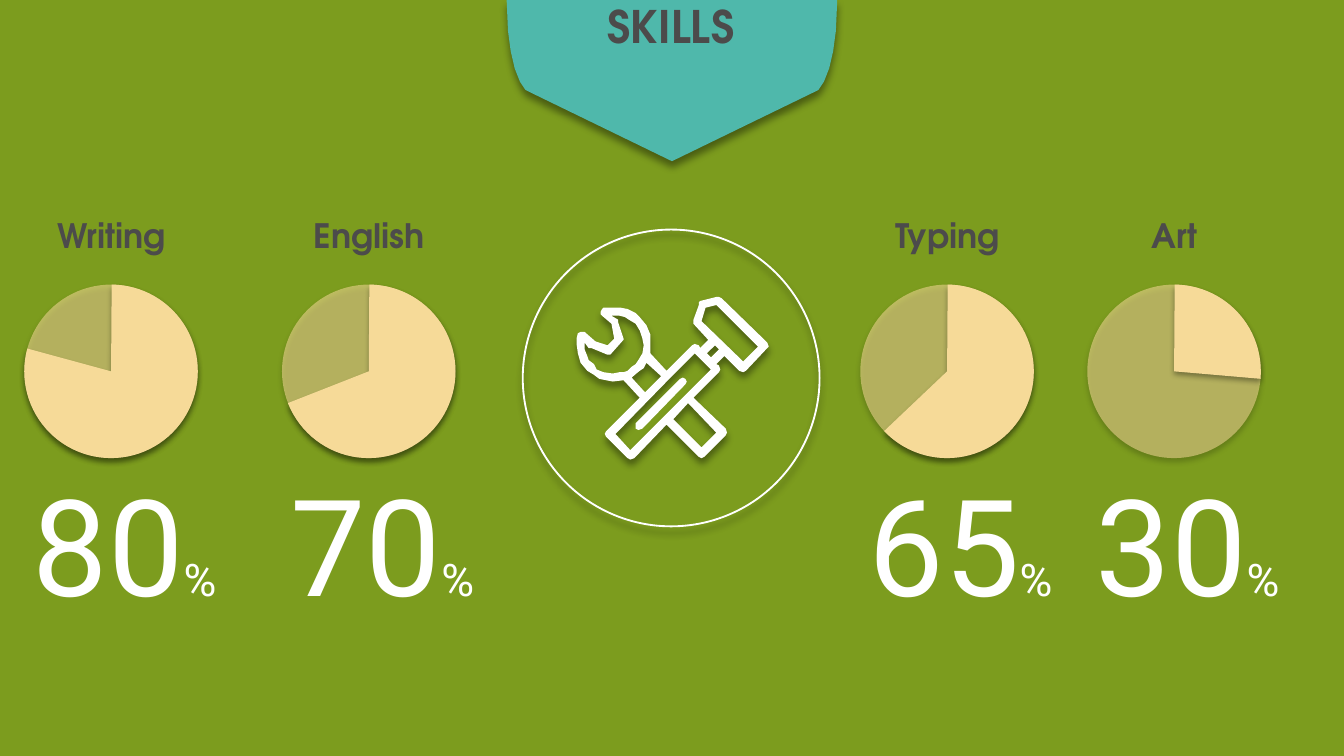
from lxml import etree
from pptx import Presentation
from pptx.dml.color import RGBColor
from pptx.enum.shapes import MSO_SHAPE as Shape
from pptx.enum.text import MSO_ANCHOR as Anchor, MSO_AUTO_SIZE as AutoSize, PP_ALIGN as Align
from pptx.oxml import parse_xml
from pptx.oxml.ns import nsdecls, qn
from pptx.util import Cm, Pt

GREEN = RGBColor(0x7C, 0x9C, 0x1E)
TEAL = RGBColor(0x4F, 0xB8, 0xAB)
CREAM = RGBColor(0xF6, 0xDA, 0x98)
GREY = RGBColor(0x4C, 0x4B, 0x4B)
WHITE = RGBColor(0xFF, 0xFF, 0xFF)
HEAD_FONT, NUMBER_FONT = "TeX Gyre Adventor", "Roboto"


def add_shadow(shape, blur, distance, opacity):
    shape.element.spPr.append(parse_xml(
        f'<a:effectLst {nsdecls("a")}><a:outerShdw blurRad="{Pt(blur)}" dist="{Pt(distance)}" '
        f'dir="5400000" algn="t" rotWithShape="0"><a:srgbClr val="000000">'
        f'<a:alpha val="{opacity * 1000}"/></a:srgbClr></a:outerShdw></a:effectLst>'))


def add_outline(shapes, contours, color):
    """Draw closed contours, given in hundredths of an inch, as one filled shape."""
    builder = shapes.build_freeform(*contours[0][0], scale=Cm(0.0254))
    builder.add_line_segments(contours[0][1:], close=True)
    for contour in contours[1:]:
        builder.move_to(*contour[0])
        builder.add_line_segments(contour[1:], close=True)
    outline = builder.convert_to_shape()
    outline.fill.solid()
    outline.fill.fore_color.rgb = color
    outline.line.fill.background()
    return outline


deck = Presentation()
deck.slide_width, deck.slide_height = Cm(25.4), Cm(14.29)
page = deck.slides.add_slide(deck.slide_layouts[5])
page.background.fill.solid()
page.background.fill.fore_color.rgb = GREEN

# Banner, symmetric about the middle of the slide
right_side = [(623, 0), (622, 23), (620, 38), (617, 51), (613, 61), (609, 67), (607, 68)]
left_side = [(1000 - x, y) for x, y in reversed(right_side)]
banner = add_outline(page.shapes, [right_side + [(500, 120)] + left_side], TEAL)
add_shadow(banner, 4, 3, 40)

# Title, brought in front of the banner
title = page.shapes.title
banner.element.addnext(title.element)
title.left, title.top, title.width, title.height = Cm(9.58), Cm(-0.15), Cm(6.2), Cm(1.27)
title.text_frame.text = "SKILLS"
title.text_frame.vertical_anchor = Anchor.TOP
title.text_frame.auto_size = AutoSize.SHAPE_TO_FIT_TEXT
para = title.text_frame.paragraphs[0]
para.alignment = Align.CENTER
para.font.name, para.font.size, para.font.bold = HEAD_FONT, Pt(24), True
para.font.color.rgb = GREY

# Ring around the tools
ring = page.shapes.add_shape(Shape.OVAL, Cm(9.88), Cm(4.34), Cm(5.61), Cm(5.61))
ring.fill.background()
ring.line.color.rgb = WHITE
ring.line.width = Pt(1)
add_shadow(ring, 4, 3, 40)

# Crossed wrench and hammer: silhouette first, then the openings
silhouette = [
    (571, 255), (537, 222), (535, 221), (533, 221), (521, 224), (520, 225), (520, 227),
    (516, 238), (516, 241), (527, 253), (521, 259), (520, 257), (517, 256), (515, 257),
    (496, 276), (484, 263), (484, 249), (481, 242), (476, 236), (473, 233), (467, 230),
    (462, 229), (449, 229), (448, 230), (447, 232), (447, 234), (448, 235), (455, 241),
    (457, 252), (452, 257), (443, 254), (435, 247), (432, 247), (430, 248), (429, 252),
    (429, 256), (430, 263), (432, 270), (437, 276), (442, 279), (446, 282), (451, 283),
    (456, 284), (464, 283), (476, 296), (451, 321), (450, 323), (451, 325), (467, 341),
    (469, 342), (472, 341), (496, 316), (520, 340), (522, 341), (524, 340), (540, 324),
    (541, 322), (540, 319), (516, 296), (535, 277), (536, 275), (535, 272), (533, 271),
    (539, 265), (550, 276), (553, 277), (555, 276), (571, 259), (572, 258)]
hammer_neck = [(535, 260), (529, 266), (526, 263), (532, 257)]
hammer_handle = [(498, 282), (517, 263), (529, 275), (469, 335), (458, 323)]
wrench_jaw = [
    (463, 254), (464, 253), (464, 252), (460, 240), (460, 238), (455, 235), (461, 235),
    (465, 236), (468, 238), (473, 241), (476, 246), (478, 252), (479, 257), (478, 263),
    (475, 268), (473, 271), (470, 273), (467, 276), (464, 277), (461, 277), (456, 278),
    (449, 277), (444, 275), (442, 271), (438, 268), (437, 265), (435, 260), (435, 255),
    (438, 259), (440, 259), (452, 264), (454, 264), (455, 263)]
wrench_neck = [(480, 292), (470, 281), (476, 276), (479, 274), (481, 270), (492, 280)]
wrench_grip = [(512, 300), (533, 322), (522, 333), (501, 312)]
hammer_head = [(564, 258), (553, 269), (522, 239), (525, 229), (533, 227)]
handle_groove = [(473, 317), (473, 319), (475, 320), (478, 319), (510, 286), (511, 284),
                 (510, 282), (508, 281), (506, 282), (473, 315)]

icon = page.shapes.add_group_shape()
tools = add_outline(icon.shapes, [silhouette, hammer_neck, hammer_handle, wrench_jaw,
                                  wrench_neck, wrench_grip, hammer_head], WHITE)
add_shadow(tools, 4, 3, 40)
groove = add_outline(icon.shapes, [handle_groove], WHITE)
groove.shadow.inherit = False

# Skills: name, percentage, left edge of the pie in cm, end angle of the slice in degrees
skills = [("Writing", "80", 0.46, 195.24), ("English", "70", 5.33, 158.52),
          ("Typing", "65", 16.26, 136.5), ("Art", "30", 20.55, 4.95)]
START_ANGLE = 270.41

for name, percentage, left, end_angle in skills:
    shapes = page.shapes.add_group_shape().shapes

    # Translucent disc with the slice on top
    for kind in (Shape.OVAL, Shape.PIE):
        part = shapes.add_shape(kind, Cm(left), Cm(5.38), Cm(3.28), Cm(3.28))
        part.fill.solid()
        part.fill.fore_color.rgb = CREAM
        part.line.fill.background()
        add_shadow(part, 3.1, 1.8, 35)
        if kind == Shape.OVAL:
            color = part.element.spPr.find(qn("a:solidFill"))[0]
            etree.SubElement(color, qn("a:alpha")).set("val", "55000")
        else:
            # Angles are stored in 60000ths of a degree, adjustments in 100000ths
            part.adjustments[0] = START_ANGLE * 0.6
            part.adjustments[1] = end_angle * 0.6

    # Percentage
    box = shapes.add_textbox(Cm(left - 0.2), Cm(8.61), Cm(4.19), Cm(3.33))
    box.text_frame.word_wrap = False
    box.text_frame.auto_size = AutoSize.SHAPE_TO_FIT_TEXT
    para = box.text_frame.paragraphs[0]
    para.alignment = Align.CENTER
    para.font.name = NUMBER_FONT
    para.font.color.rgb = WHITE
    for text, size in ((percentage, 72), ("%", 24)):
        span = para.add_run()
        span.text = text
        span.font.size = Pt(size)

    # Skill name
    box = shapes.add_textbox(Cm(left - 0.46), Cm(3.94), Cm(4.22), Cm(1.02))
    box.text_frame.word_wrap = True
    box.text_frame.auto_size = AutoSize.SHAPE_TO_FIT_TEXT
    box.text_frame.vertical_anchor = Anchor.MIDDLE
    para = box.text_frame.paragraphs[0]
    para.text = name
    para.alignment = Align.CENTER
    para.font.name, para.font.size, para.font.bold = HEAD_FONT, Pt(18), True
    para.font.color.rgb = GREY

deck.save("out.pptx")
